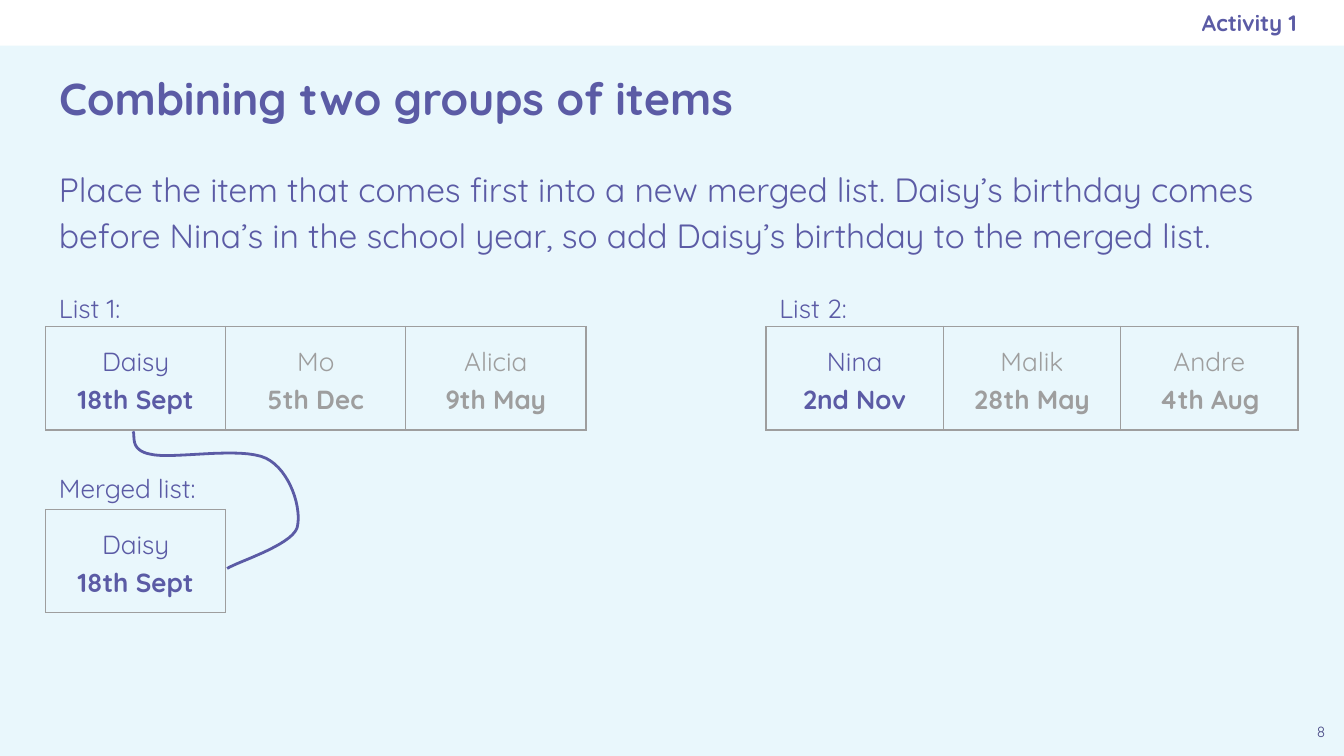
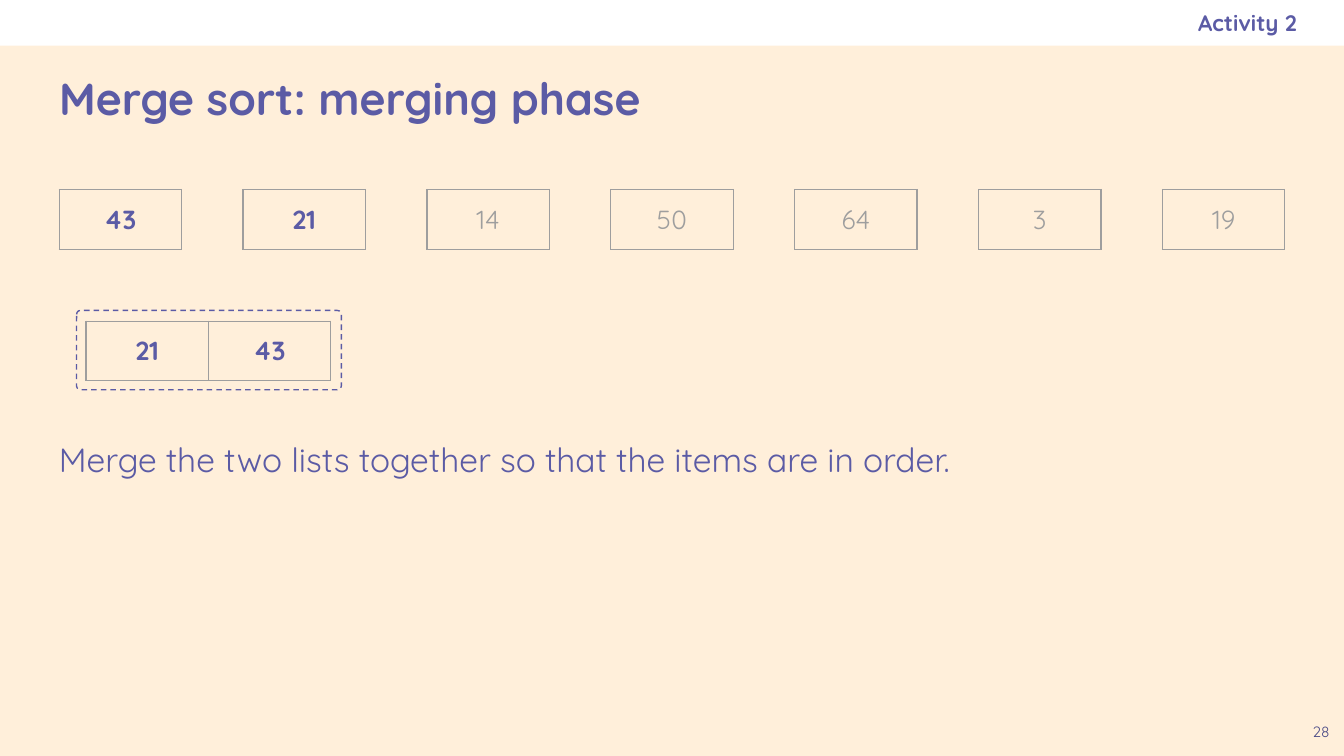
from dataclasses import dataclass

from lxml.etree import SubElement
from pptx import Presentation
from pptx.dml.color import RGBColor
from pptx.enum.dml import MSO_LINE
from pptx.enum.shapes import MSO_SHAPE
from pptx.enum.text import MSO_ANCHOR, MSO_AUTO_SIZE, PP_ALIGN
from pptx.oxml.ns import qn
from pptx.util import Inches, Pt


@dataclass(frozen=True)
class Theme:
    font: str = "Quicksand"
    purple: str = "5B5BA5"
    dark_purple: str = "494985"
    grey: str = "9E9E9E"
    white: str = "FFFFFF"
    blue_page: str = "E9F7FC"
    cream_page: str = "FFEFDA"
    title_size: int = 24
    body_size: int = 18
    label_size: int = 14
    activity_size: int = 12
    number_size: int = 8
    thin_line: float = 0.75
    curve_line: float = 1.5


@dataclass(frozen=True)
class Line:
    text: str
    size: int
    color: str
    bold: bool = False


THEME = Theme()
MARGIN = 0.34
CONTENT_WIDTH = 9.32
BAND_HEIGHT = 0.34
INSET = 0.1


def rgb(color):
    return RGBColor.from_string(color)


def write_lines(frame, lines, align=PP_ALIGN.LEFT, spacing=1.0, after=0):
    for index, line in enumerate(lines):
        paragraph = frame.paragraphs[0] if index == 0 else frame.add_paragraph()
        paragraph.alignment = align
        paragraph.line_spacing = spacing
        paragraph.space_before = Pt(0)
        paragraph.space_after = Pt(after)
        run = paragraph.add_run()
        run.text = line.text
        run.font.name = THEME.font
        run.font.size = Pt(line.size)
        run.font.bold = line.bold
        run.font.color.rgb = rgb(line.color)


def set_frame(frame, anchor, right_inset=INSET):
    frame.word_wrap = True
    frame.auto_size = MSO_AUTO_SIZE.NONE
    frame.vertical_anchor = anchor
    frame.margin_left = frame.margin_top = frame.margin_bottom = Inches(INSET)
    frame.margin_right = Inches(right_inset)


def add_text(slide, box, line, anchor=MSO_ANCHOR.TOP, right_inset=INSET, **paragraph_style):
    frame = slide.shapes.add_textbox(*map(Inches, box)).text_frame
    set_frame(frame, anchor, right_inset)
    write_lines(frame, [line], **paragraph_style)


def add_body(slide, top, height, text):
    add_text(slide, (MARGIN, top, CONTENT_WIDTH, height),
             Line(text, THEME.body_size, THEME.purple), spacing=1.15, after=16)


def add_label(slide, left, top, text):
    add_text(slide, (left, top, 1.4, 0.42),
             Line(text, THEME.label_size, THEME.purple), spacing=1.15, after=16)


def add_activity_slide(presentation, page_color, title, activity, number):
    """Add a slide with the shared page colour, top band, title and number."""
    slide = presentation.slides.add_slide(presentation.slide_layouts[5])
    slide.background.fill.solid()
    slide.background.fill.fore_color.rgb = rgb(page_color)

    band = slide.shapes.add_shape(MSO_SHAPE.RECTANGLE, 0, 0,
                                  presentation.slide_width, Inches(BAND_HEIGHT))
    band.shadow.inherit = False
    band.fill.solid()
    band.fill.fore_color.rgb = rgb(THEME.white)
    band.line.fill.background()

    heading = slide.shapes.title
    heading.left, heading.top = Inches(MARGIN), Inches(BAND_HEIGHT)
    heading.width, heading.height = Inches(CONTENT_WIDTH), Inches(0.77)
    set_frame(heading.text_frame, MSO_ANCHOR.MIDDLE)
    write_lines(heading.text_frame, [Line(title, THEME.title_size, THEME.purple, True)])

    add_text(slide, (5.75, 0, 3.9, BAND_HEIGHT),
             Line(activity, THEME.activity_size, THEME.purple, True),
             MSO_ANCHOR.MIDDLE, right_inset=0, align=PP_ALIGN.RIGHT)
    add_text(slide, (9.66, 5.28, 0.34, 0.34),
             Line(number, THEME.number_size, THEME.dark_purple), align=PP_ALIGN.CENTER)
    return slide


def set_borders(cell, visible_sides):
    properties = cell._tc.get_or_add_tcPr()
    for side in "LRTB":
        border = SubElement(properties, qn(f"a:ln{side}"), w=str(Pt(THEME.thin_line)))
        if side in visible_sides:
            fill = SubElement(border, qn("a:solidFill"))
            SubElement(fill, qn("a:srgbClr"), val=THEME.grey)
        else:
            SubElement(border, qn("a:noFill"))


def add_list_table(slide, left, top, widths, height, items,
                   spacing=1.0, anchor=MSO_ANCHOR.TOP):
    """Draw one row of items; an item without lines is an open gap."""
    frame = slide.shapes.add_table(1, len(items), Inches(left), Inches(top),
                                   Inches(sum(widths)), Inches(height))
    table = frame.table
    table.first_row = table.horz_banding = False
    for column, width in zip(table.columns, widths):
        column.width = Inches(width)
    for cell, lines in zip(table.rows[0].cells, items):
        set_borders(cell, "LRTB" if lines else "LR")
        cell.fill.background()
        cell.vertical_anchor = anchor
        cell.margin_left = cell.margin_right = Inches(INSET)
        cell.margin_top = cell.margin_bottom = Inches(INSET)
        write_lines(cell.text_frame, lines, PP_ALIGN.CENTER, spacing)


def add_birthday_table(slide, top, widths, birthdays):
    add_list_table(slide, MARGIN, top, widths, 0.77, birthdays, 1.15, MSO_ANCHOR.MIDDLE)


def birthday(name, date, color=THEME.grey):
    return [Line(name, THEME.label_size, color),
            Line(date, THEME.label_size, color, True)]


def number_item(value, active=True):
    color = THEME.purple if active else THEME.grey
    return [Line(str(value), THEME.label_size, color, active)]


def bezier_point(points, t):
    weights = ((1 - t) ** 3, 3 * t * (1 - t) ** 2, 3 * t ** 2 * (1 - t), t ** 3)
    return tuple(Inches(sum(weight * value for weight, value in zip(weights, axis)))
                 for axis in zip(*points))


def add_curve(slide, start, segments, steps=16):
    """Draw joined cubic curves; each segment is two controls and an end."""
    points = []
    current = start
    for segment in segments:
        points += [bezier_point((current, *segment), step / steps)
                   for step in range(1, steps + 1)]
        current = segment[-1]
    builder = slide.shapes.build_freeform(*map(Inches, start))
    builder.add_line_segments(points, close=False)
    curve = builder.convert_to_shape()
    curve.shadow.inherit = False
    curve.fill.background()
    curve.line.color.rgb = rgb(THEME.purple)
    curve.line.width = Pt(THEME.curve_line)


def add_dashed_frame(slide, box):
    frame = slide.shapes.add_shape(MSO_SHAPE.ROUNDED_RECTANGLE, *map(Inches, box))
    frame.adjustments[0] = 0.05
    frame.shadow.inherit = False
    frame.fill.background()
    frame.line.color.rgb = rgb(THEME.purple)
    frame.line.width = Pt(THEME.thin_line)
    frame.line.dash_style = MSO_LINE.DASH


def build_combining_slide(presentation):
    slide = add_activity_slide(presentation, THEME.blue_page,
                               "Combining two groups of items", "Activity 1", "8")
    add_body(slide, 1.11, 0.92,
             "Place the item that comes first into a new merged list. "
             "Daisy’s birthday comes before Nina’s in the school year, "
             "so add Daisy’s birthday to the merged list.")
    for left, top, text in ((MARGIN, 2.04, "List 1:"), (5.7, 2.04, "List 2:"),
                            (MARGIN, 3.38, "Merged list:")):
        add_label(slide, left, top, text)

    daisy = birthday("Daisy", "18th Sept", THEME.purple)
    both_lists = [
        daisy, birthday("Mo", "5th Dec"), birthday("Alicia", "9th May"),
        [],
        birthday("Nina", "2nd Nov", THEME.purple),
        birthday("Malik", "28th May"), birthday("Andre", "4th Aug"),
    ]
    add_birthday_table(slide, 2.43, [1.34] * 4 + [1.32] * 3, both_lists)
    add_birthday_table(slide, 3.79, [1.34], [daisy])
    add_curve(slide, (0.99, 3.21), [
        ((1.01, 3.24), (0.96, 3.35), (1.12, 3.38)),
        ((1.28, 3.42), (1.79, 3.32), (1.98, 3.41)),
        ((2.16, 3.5), (2.25, 3.79), (2.21, 3.93)),
        ((2.16, 4.06), (1.77, 4.18), (1.69, 4.23)),
    ])


def build_merging_slide(presentation):
    slide = add_activity_slide(presentation, THEME.cream_page,
                               "Merge sort: merging phase", "Activity 2", "28")
    item_width, item_height = 0.91, 0.42
    values = (43, 21, 14, 50, 64, 3, 19)
    first_left, last_left = 0.44, 8.65
    pitch = (last_left - first_left) / (len(values) - 1)
    for index, value in enumerate(values):
        add_list_table(slide, first_left + index * pitch, 1.41, [item_width],
                       item_height, [number_item(value, index < 2)])

    add_dashed_frame(slide, (0.57, 2.31, 1.97, 0.59))
    add_list_table(slide, 0.64, 2.39, [item_width] * 2, item_height,
                   [number_item(value) for value in sorted(values[:2])])
    add_body(slide, 3.12, 1.41,
             "Merge the two lists together so that the items are in order.")


def main():
    presentation = Presentation()
    presentation.slide_width = Inches(10)
    presentation.slide_height = Inches(10 * 9 / 16)
    build_combining_slide(presentation)
    build_merging_slide(presentation)
    presentation.save("out.pptx")


if __name__ == "__main__":
    main()
